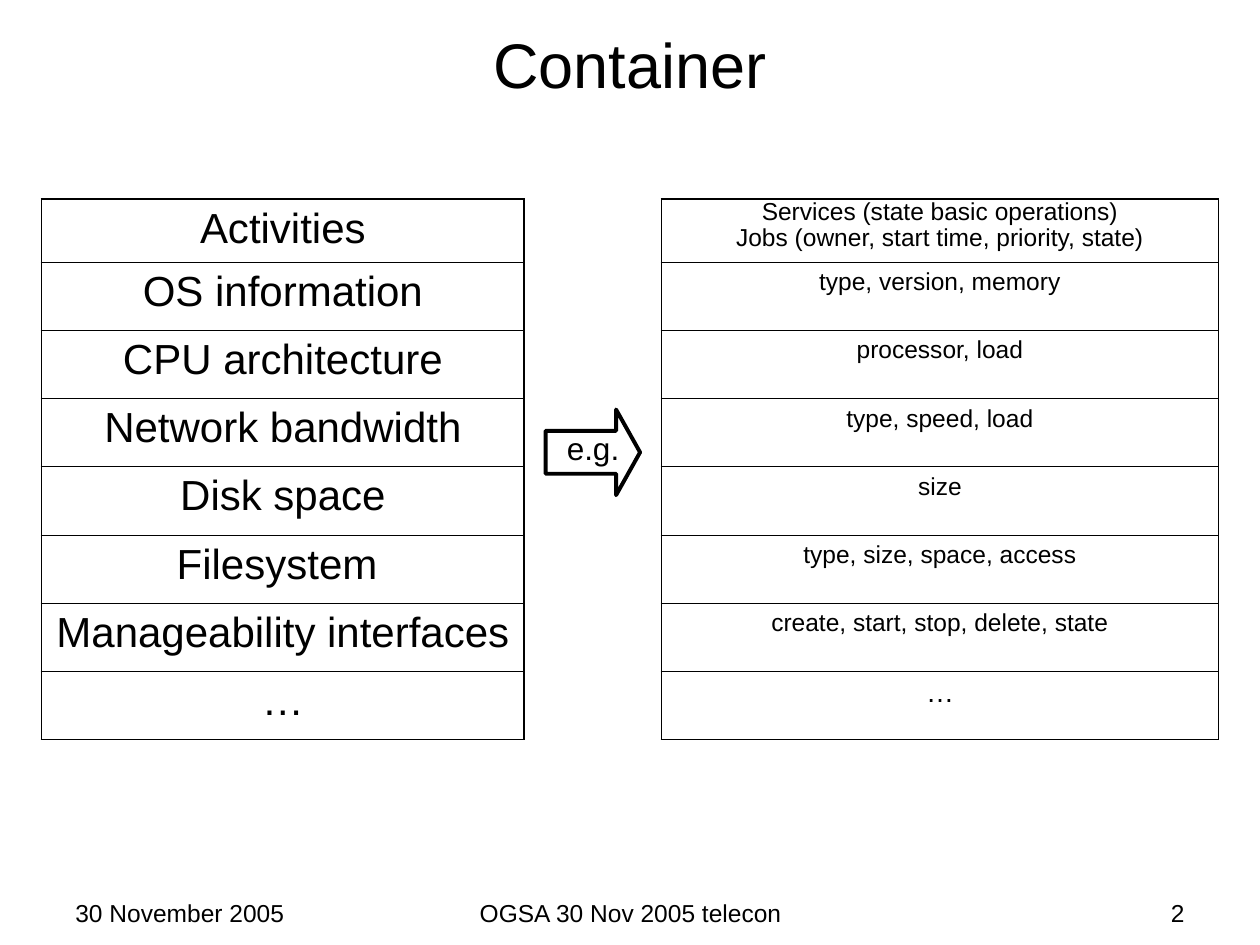
from lxml import etree
from pptx import Presentation
from pptx import util as u
from pptx.dml.color import RGBColor
from pptx.enum import shapes, text
from pptx.oxml import ns

BLACK = "000000"
ALIGN = text.PP_ALIGN


def color(value):
    return RGBColor.from_string(value)


def write(paragraph, words, size, alignment):
    paragraph.alignment = alignment
    run = paragraph.add_run()
    run.text = words
    run.font.size = u.Pt(size)
    run.font.name = "Arial"
    run.font.color.rgb = color(BLACK)


presentation = Presentation()
presentation.slide_width = u.Inches(10)
presentation.slide_height = u.Inches(7.5)
slide = presentation.slides.add_slide(presentation.slide_layouts[5])

title = slide.shapes.title
title.left, title.top = u.Inches(0.5), u.Inches(0)
title.width, title.height = u.Inches(9), u.Inches(1)
title.text_frame.vertical_anchor = text.MSO_ANCHOR.MIDDLE
write(title.text_frame.paragraphs[0], "Container", 36, ALIGN.CENTER)

features = [
    ["Activities"], ["OS information"], ["CPU architecture"], ["Network bandwidth"],
    ["Disk space"], ["Filesystem "], ["Manageability interfaces"], ["…"],
]
examples = [
    ["Services (state basic operations)", "Jobs (owner, start time, priority, state)"],
    ["type, version, memory"], ["processor, load"], ["type, speed, load"],
    ["size"], ["type, size, space, access"], ["create, start, stop, delete, state"], ["…"],
]
tables = [
    (5.25, 4.42, examples, 14, 16),
    (0.33, 3.83, features, 24, 24),
]
table_height = 4.29
first_height = 0.5
for left, width, rows, size, last_size in tables:
    last = len(rows) - 1
    row_height = (table_height - first_height) / last
    frame = slide.shapes.add_table(
        len(rows), 1, u.Inches(left), u.Inches(1.58), u.Inches(width), u.Inches(table_height))
    table = frame.table
    table.first_row = False
    table.horz_banding = False
    for index, lines in enumerate(rows):
        table.rows[index].height = u.Inches(first_height if index == 0 else row_height)
        cell = table.cell(index, 0)
        properties = cell._tc.get_or_add_tcPr()
        borders = {
            "lnL": 1.08,
            "lnR": 1.08,
            "lnT": 1.08 if index == 0 else 0.45,
            "lnB": 1.08 if index == last else 0.45,
        }
        for side, weight in borders.items():
            border = etree.SubElement(properties, ns.qn("a:" + side), w=str(u.Pt(weight)))
            fill = etree.SubElement(border, ns.qn("a:solidFill"))
            etree.SubElement(fill, ns.qn("a:srgbClr"), val=BLACK)
        cell.fill.background()
        for number, line in enumerate(lines):
            if number == 0:
                paragraph = cell.text_frame.paragraphs[0]
            else:
                paragraph = cell.text_frame.add_paragraph()
                paragraph.space_before = u.Pt(3.5)
            if len(lines) > 1:
                paragraph.line_spacing = 0.7
            write(paragraph, line, last_size if index == last else size, ALIGN.CENTER)

arrow = slide.shapes.add_shape(
    shapes.MSO_SHAPE.RIGHT_ARROW, u.Inches(4.33), u.Inches(3.25), u.Inches(0.75), u.Inches(0.68))
arrow.adjustments[0] = 0.5
arrow.adjustments[1] = 0.28
arrow.shadow.inherit = False
arrow.fill.background()
arrow.line.color.rgb = color(BLACK)
arrow.line.width = u.Pt(2.25)

labels = [
    (4.4, 3.36, 0.7, 0.4, "e.g.", 18, ALIGN.LEFT),
    (3.42, 7.08, 3.17, 0.27, "OGSA 30 Nov 2005 telecon", 14, ALIGN.CENTER),
    (7.17, 7.08, 2.33, 0.27, "2", 14, ALIGN.RIGHT),
    (0.5, 7.08, 2.33, 0.27, "30 November 2005", 14, ALIGN.LEFT),
]
for left, top, width, height, words, size, alignment in labels:
    box = slide.shapes.add_textbox(
        u.Inches(left), u.Inches(top), u.Inches(width), u.Inches(height))
    box.text_frame.word_wrap = True
    write(box.text_frame.paragraphs[0], words, size, alignment)

presentation.save("out.pptx")
